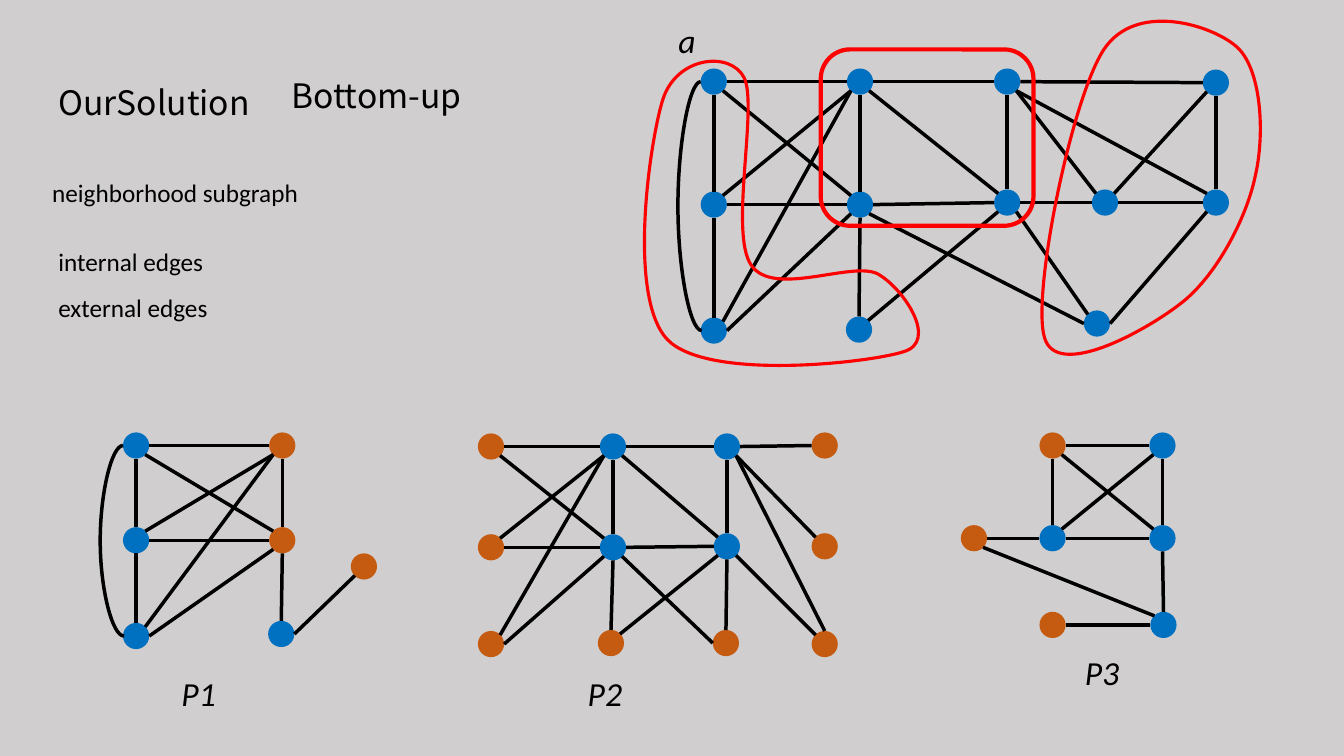
import pptx
import pptx.util
import pptx.dml.color
import pptx.enum.shapes
import pptx.enum.text
import pptx.oxml
import pptx.oxml.ns

Inches = pptx.util.Inches
RGBColor = pptx.dml.color.RGBColor
CONNECTOR = pptx.enum.shapes.MSO_CONNECTOR
SHAPE = pptx.enum.shapes.MSO_SHAPE
ALIGN = pptx.enum.text.PP_ALIGN
NAMESPACE = pptx.oxml.ns.nsdecls("a")

BLACK = RGBColor(0x00, 0x00, 0x00)
BLUE = RGBColor(0x00, 0x70, 0xC0)
ORANGE = RGBColor(0xC5, 0x5A, 0x11)
RED = RGBColor(0xFF, 0x00, 0x00)
GREY = RGBColor(0xD0, 0xCE, 0xCE)

NODE = 0.26
RADIUS = NODE / 2
DIAGONAL = 0.09
# Where an edge meets a node, as an offset from the node's centre
SITES = {
    "N": (0, -RADIUS), "S": (0, RADIUS), "W": (-RADIUS, 0), "E": (RADIUS, 0),
    "NW": (-DIAGONAL, -DIAGONAL), "NE": (DIAGONAL, -DIAGONAL),
    "SW": (-DIAGONAL, DIAGONAL), "SE": (DIAGONAL, DIAGONAL),
}

deck = pptx.Presentation()
deck.slide_width, deck.slide_height = Inches(13.33), Inches(7.5)
page = deck.slides.add_slide(deck.slide_layouts[6])
page.background.fill.solid()
page.background.fill.fore_color.rgb = GREY


def add_text(shapes, text, frame, size, font="Calibri", label=False, spacing=None):
    box = shapes.add_textbox(*[Inches(length) for length in frame])
    box.text_frame.word_wrap = label
    para = box.text_frame.paragraphs[0]
    para.alignment = ALIGN.CENTER if label else ALIGN.LEFT
    if spacing:
        para.line_spacing = spacing
    span = para.add_run()
    span.text = text
    span.font.size = pptx.util.Pt(size)
    span.font.name = font
    span.font.italic = label
    span.font.color.rgb = BLACK


def add_edge(shapes, kind, start, end):
    edge = shapes.add_connector(kind, *[Inches(length) for length in start + end])
    edge.line.color.rgb = BLACK
    edge.line.width = pptx.util.Pt(2.5)
    edge._element.spPr.append(pptx.oxml.parse_xml("<a:effectLst %s/>" % NAMESPACE))
    return edge


# Each graph: label, label frame, node centres, orange nodes, edges, looped pair.
# An edge "cN-bS" runs from the north of node c to the south of node b.
GRAPHS = [
    ("a", (6.56, 0.15, 0.51, 0.5),
     {"a": (7.08, 0.81), "b": (7.08, 2.03), "c": (7.08, 3.28), "d": (8.53, 2.03),
      "e": (8.53, 0.81), "f": (8.52, 3.27), "g": (9.99, 0.81), "h": (9.99, 2.01),
      "i": (12.06, 0.82), "j": (10.96, 2.01), "k": (12.06, 2.01), "l": (10.88, 3.21)},
     "",
     "cN-bS bN-aS eW-aE dW-bE dSW-cE dN-eS dNW-aSE eSW-bNE eSW-cNE hW-dE gW-eE "
     "hNW-eSE hN-gS fN-dS fNE-hSW jNW-gSE jW-hE kW-jE kN-iS iW-gE iSW-jNE "
     "kNW-gSE lNW-hSE lW-dSE lE-kSW",
     "ac"),
    ("P1", (1.47, 6.63, 1, 0.5),
     {"a": (1.35, 4.42), "b": (1.35, 5.36), "c": (1.35, 6.31), "d": (2.8, 5.36),
      "e": (2.8, 4.42), "f": (2.79, 6.29), "g": (3.61, 5.62)},
     "deg",
     "cN-bS bN-aS eW-aE dW-bE dSW-cE dN-eS dNW-aSE eSW-bNE eSW-cNE fN-dS fE-gSW",
     "ac"),
    ("P2", (5.5, 6.63, 1, 0.5),
     {"a": (4.87, 4.43), "b": (4.87, 5.43), "c": (4.87, 6.39), "d": (6.08, 5.43),
      "e": (6.08, 4.43), "f": (6.06, 6.38), "g": (7.21, 4.43), "h": (7.21, 5.42),
      "i": (8.18, 5.42), "j": (7.2, 6.38), "k": (8.18, 4.42), "l": (8.18, 6.39)},
     "abcfijkl",
     "eW-aE dW-bE dSW-cE dN-eS dNW-aSE eSW-bNE eSW-cNE hW-dE gW-eE hNW-eSE hN-gS "
     "fN-dS fNE-hSW iNW-gSE jN-hS jW-dSE kW-gE lNW-hSE lN-gSE",
     ""),
    ("P3", (10.43, 6.42, 1, 0.5),
     {"a": (9.66, 5.34), "b": (11.53, 4.42), "c": (10.44, 5.34), "d": (11.53, 5.34),
      "e": (11.54, 6.2), "f": (10.44, 6.2), "g": (10.44, 4.42)},
     "afg",
     "cN-gS cW-aE dW-cE dN-bS bW-gE bSW-cNE dNW-gSE eNW-aSE eN-dS eW-fE",
     ""),
]

# Graphs: the whole graph lies on the page, each partition is a group
for label, frame, nodes, orange, edges, loop in GRAPHS:
    shapes = page.shapes if label == "a" else page.shapes.add_group_shape().shapes
    for name, (x, y) in nodes.items():
        node = shapes.add_shape(SHAPE.OVAL, Inches(x - RADIUS), Inches(y - RADIUS),
                                Inches(NODE), Inches(NODE))
        node.shadow.inherit = False
        node.fill.solid()
        node.fill.fore_color.rgb = ORANGE if name in orange else BLUE
        node.line.fill.background()
    for pair in edges.split():
        ends = []
        for end in pair.split("-"):
            (x, y), (dx, dy) = nodes[end[0]], SITES[end[1:]]
            ends.append((x + dx, y + dy))
        add_edge(shapes, CONNECTOR.STRAIGHT, *ends)
    if loop:
        # Curve bulging to the left of the first column
        (x, top), (_, bottom) = nodes[loop[0]], nodes[loop[1]]
        left = x - RADIUS
        curve = add_edge(shapes, CONNECTOR.CURVE, (left, top), (left + 0.01, bottom))
        properties = curve._element.spPr
        properties.find(pptx.oxml.ns.qn("a:xfrm")).set("rot", "10800000")
        geometry = properties.find(pptx.oxml.ns.qn("a:prstGeom"))
        for old in list(geometry):
            geometry.remove(old)
        geometry.append(pptx.oxml.parse_xml(
            '<a:avLst %s><a:gd name="adj1" fmla="val 2400000"/></a:avLst>' % NAMESPACE))
    add_text(shapes, label, frame, 24, label=True)

# Red outlines round the partitions: frame, then start point and cubic segments
OUTLINES = [
    ((6.39, 0.61, 2.72, 3.02),
     [(6.57, 1), (6.44, 1.43), (6.22, 2.95), (6.62, 3.37), (7.02, 3.78), (8.62, 3.6),
      (8.96, 3.49), (9.31, 3.39), (8.97, 2.87), (8.71, 2.72), (8.46, 2.58), (7.67, 2.96),
      (7.45, 2.63), (7.23, 2.31), (7.52, 1.05), (7.38, 0.77), (7.24, 0.5), (6.7, 0.56),
      (6.57, 1)]),
    ((10.33, 0.21, 2.17, 3.3),
     [(10.95, 0.49), (10.63, 0.97), (10.23, 2.92), (10.36, 3.35), (10.48, 3.77),
      (11.35, 3.29), (11.7, 3.02), (12.05, 2.76), (12.36, 2.18), (12.45, 1.75),
      (12.55, 1.32), (12.51, 0.67), (12.26, 0.46), (12.02, 0.25), (11.27, 0.01),
      (10.95, 0.49)]),
]
borders = []
for (left, top, width, height), points in OUTLINES:
    builder = page.shapes.build_freeform(Inches(left), Inches(top))
    builder.add_line_segments([(Inches(left + width), Inches(top)),
                               (Inches(left + width), Inches(top + height)),
                               (Inches(left), Inches(top + height))], close=True)
    outline = builder.convert_to_shape()
    # Put cubic curves in place of the frame's straight sides
    contour = outline._element.spPr.find(".//" + pptx.oxml.ns.qn("a:path"))
    for side in list(contour):
        contour.remove(side)
    marks = ['<a:pt x="%d" y="%d"/>' % (Inches(x - left), Inches(y - top)) for x, y in points]
    steps = [("moveTo", marks[:1])]
    steps += [("cubicBezTo", marks[i:i + 3]) for i in range(1, len(marks), 3)]
    steps.append(("close", []))
    for tag, step_marks in steps:
        contour.append(pptx.oxml.parse_xml(
            "<a:%s %s>%s</a:%s>" % (tag, NAMESPACE, "".join(step_marks), tag)))
    borders.append((outline, 2.25))
middle = page.shapes.add_shape(SHAPE.ROUNDED_RECTANGLE, Inches(8.14), Inches(0.49),
                               Inches(2.11), Inches(1.75))
borders.append((middle, 3))
for border, weight in borders:
    border.shadow.inherit = False
    border.fill.background()
    border.line.color.rgb = RED
    border.line.width = pptx.util.Pt(weight)

# Headings and notes on the left
HEADING_FONT = "Noto Sans CJK SC"
add_text(page.shapes, "OurSolution", (0.48, 0.56, 2.15, 0.64), 24, HEADING_FONT, spacing=1.5)
add_text(page.shapes, "Bottom-up", (2.79, 0.69, 1.97, 0.5), 24, HEADING_FONT)
add_text(page.shapes, "neighborhood subgraph", (0.42, 1.71, 2.73, 0.4), 18)
add_text(page.shapes, "internal edges", (0.48, 2.39, 1.71, 0.4), 18)
add_text(page.shapes, "external edges", (0.48, 2.85, 1.7, 0.4), 18)

deck.save("out.pptx")
